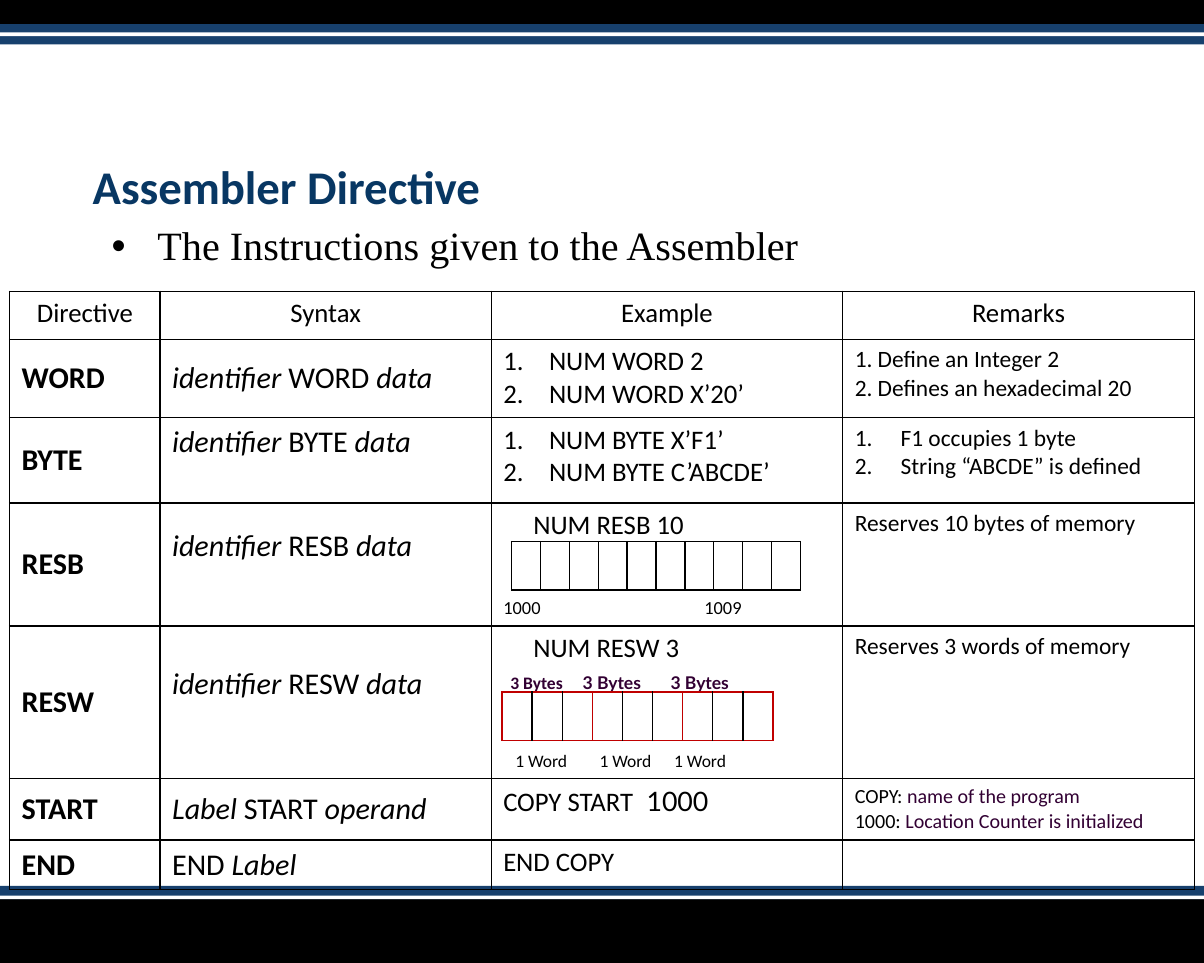
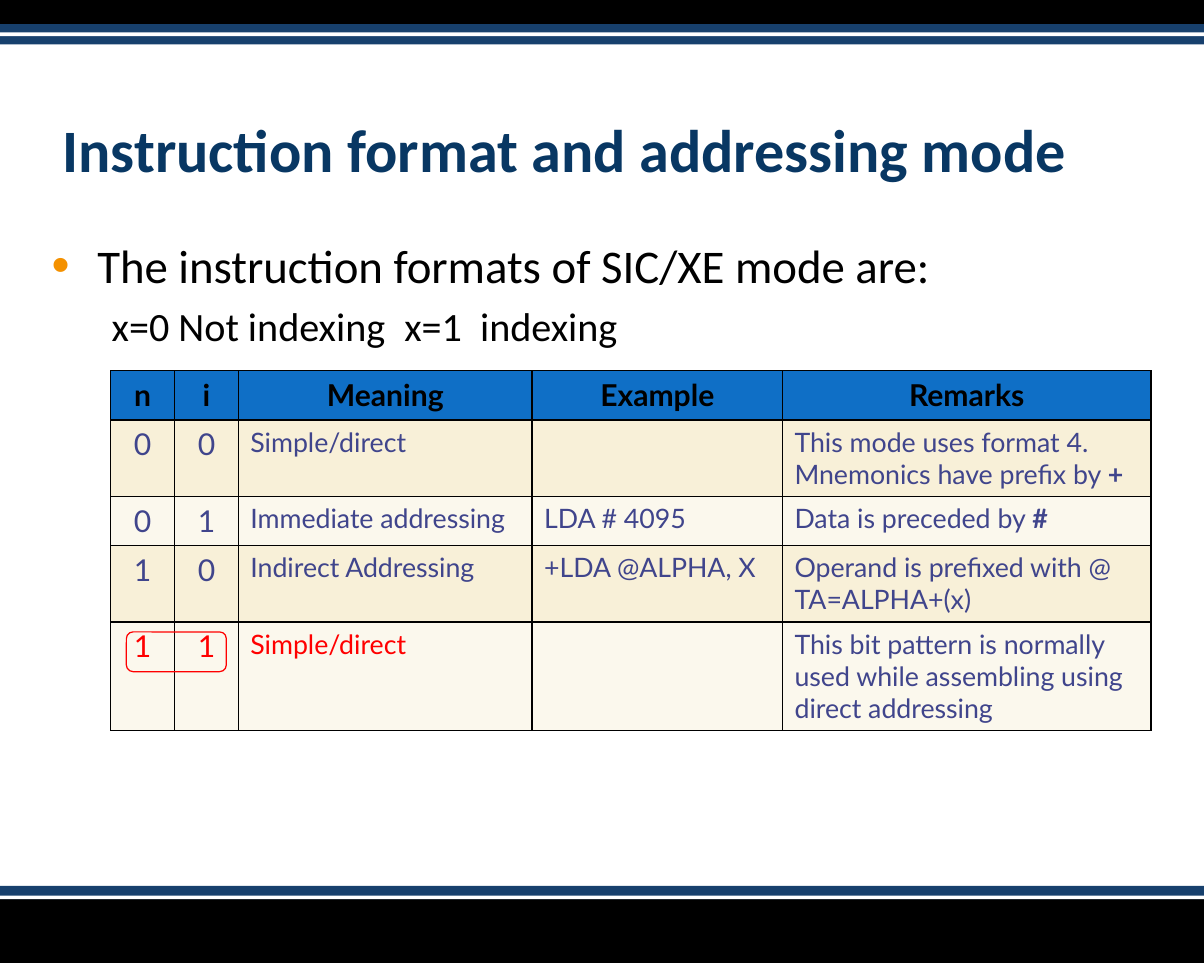
from dataclasses import dataclass
from pptx import Presentation
from pptx.dml.color import RGBColor
from pptx.enum.shapes import MSO_SHAPE
from pptx.enum.text import MSO_ANCHOR, MSO_AUTO_SIZE, PP_ALIGN
from pptx.oxml import parse_xml
from pptx.oxml.ns import nsdecls
from pptx.util import Inches, Pt


@dataclass(frozen=True)
class Theme:
    ink: str = "000000"
    band: str = "17406D"
    white: str = "FFFFFF"
    title: str = "083763"
    plum: str = "320033"
    wine: str = "C00000"
    red: str = "FF0000"
    dot: str = "F49100"
    head: str = "0F6FC6"
    sand: str = "F8F0D8"
    cream: str = "FBF8ED"
    slate: str = "40458C"
    main: str = "Calibri"
    alt: str = "Lato"
    serif: str = "Times New Roman"
    huge: float = 36
    big: float = 28
    lead: float = 24
    key: float = 18
    text: float = 16
    note: float = 14
    small: float = 12
    tag: float = 11
    mini: float = 10.5


look = Theme()


def mark(para, xml):
    para._p.get_or_add_pPr().append(parse_xml(xml.replace(" ", f" {nsdecls('a')} ", 1)))


def write(box, lines, size, font=look.main, tint=look.ink, align=PP_ALIGN.LEFT,
          bold=False, hang=0, bullet="", dot=look.ink, stops=()):
    for n, line in enumerate(lines):
        para = box.paragraphs[0] if n == 0 else box.add_paragraph()
        para.alignment = align
        if hang:
            props = para._p.get_or_add_pPr()
            props.set("marL", str(Inches(hang)))
            props.set("indent", str(-Inches(hang)))
            mark(para, f'<a:buClr ><a:srgbClr val="{dot}"/></a:buClr>')
            if bullet:
                mark(para, '<a:buSzPct val="110000"/>' if dot != look.ink else '<a:buSzPct val="100000"/>')
                mark(para, '<a:buFont typeface="Arial"/>')
                mark(para, f'<a:buChar char="{bullet}"/>')
            else:
                mark(para, '<a:buAutoNum type="arabicPeriod"/>')
        if n < len(stops):
            tabs = "".join(f'<a:tab pos="{Inches(stop)}" algn="l"/>' for stop in stops[n])
            mark(para, f"<a:tabLst >{tabs}</a:tabLst>")
        for part in [line] if isinstance(line, str) else line:
            words, style = (part, {}) if isinstance(part, str) else part
            run = para.add_run()
            run.text = words
            run.font.size = Pt(style.get("size", size))
            run.font.name = style.get("font", font)
            run.font.bold = style.get("bold", bold)
            run.font.italic = style.get("slant", False)
            run.font.color.rgb = RGBColor.from_string(style.get("tint", tint))
    return box.paragraphs


deck = Presentation()
deck.slide_width, deck.slide_height = Inches(10), Inches(8)
layout = deck.slide_layouts[5]
first, second = [deck.slides.add_slide(layout) for n in range(2)]

bands = [(7.47, 0.53, look.ink), (7.36, 0.11, look.band), (7.44, 0.03, look.white),
         (0, 0.2, look.ink), (0.2, 0.17, look.band), (0.27, 0.03, look.white)]
for n, (top, tall, tint) in enumerate(bands):
    band = first.shapes.add_shape(MSO_SHAPE.RECTANGLE, 0, Inches(top), Inches(10), Inches(tall))
    band.shadow.inherit = False
    band.fill.solid()
    band.fill.fore_color.rgb = RGBColor.from_string(tint)
    band.line.fill.background()
    layout.shapes.element.insert(2 + n, band.element)

heads = [(first, "Assembler Directive", look.big, (0.67, 0.58, 8.5, 1.25)),
         (second, "Instruction format and addressing mode", look.huge, (0.42, 0.67, 9.25, 0.92))]
for slide, words, size, place in heads:
    title = slide.shapes.title
    title.left, title.top, title.width, title.height = map(Inches, place)
    frame = title.text_frame
    frame.word_wrap = True
    frame.auto_size = MSO_AUTO_SIZE.NONE
    frame.vertical_anchor = MSO_ANCHOR.BOTTOM
    write(frame, [words], size, tint=look.title, bold=True)[0].line_spacing = 0.9

bodies = []
for slide, place in ((first, (0.83, 1.83, 8.5, 0.42)), (second, (0.33, 1.92, 9.5, 1.1))):
    frame = slide.shapes.add_textbox(*map(Inches, place)).text_frame
    frame.word_wrap = True
    bodies.append(frame)
write(bodies[0], ["The Instructions given to the Assembler"], look.lead, look.serif,
      hang=0.38, bullet="•")[0].line_spacing = 0.9
write(bodies[1], ["The instruction formats of SIC/XE mode are:"], look.big,
      hang=0.38, bullet="•", dot=look.dot)
modes = bodies[1].add_paragraph()
modes.space_before = Pt(5)
mark(modes, "<a:tabLst >" + "".join(
    f'<a:tab pos="{Inches(stop)}" algn="l"/>' for stop in (0.5, 2.93, 3.56)) + "</a:tabLst>")
modes.text = "\tx=0 Not indexing\tx=1\tindexing"
for run in modes.runs:
    run.font.size, run.font.name = Pt(look.lead), look.main
    run.font.color.rgb = RGBColor.from_string(look.ink)

fills = [look.head, look.sand, look.cream, look.sand, look.cream]
grids = [(first, 0.08, 2.42, [1.25, 2.75, 2.92, 2.92],
          [0.4, 0.65, 0.71, 1.02, 1.27, 0.51, 0.41], look.ink, []),
         (first, 4.25, 4.5, [0.24] * 10, [0.4], look.ink, []),
         (first, 4.17, 5.75, [0.25] * 9, [0.4], look.wine, []),
         (second, 0.92, 3.08, [0.53, 0.53, 2.44, 2.08, 3.06],
          [0.41, 0.63, 0.41, 0.63, 0.9], look.ink, fills)]
tables = []
for slide, left, top, wides, talls, edge, shades in grids:
    table = slide.shapes.add_table(len(talls), len(wides), Inches(left), Inches(top),
                                   Inches(sum(wides)), Inches(sum(talls))).table
    table.first_row = table.horz_banding = False
    tables.append(table)
    for col, wide in zip(table.columns, wides):
        col.width = Inches(wide)
    for r, tall in enumerate(talls):
        table.rows[r].height = Inches(tall)
        for c in range(len(wides)):
            cell = table.cell(r, c)
            sides = {"L": edge if c % 3 == 0 else look.ink,
                     "R": edge if c % 3 == 2 else look.ink, "T": edge, "B": edge}
            for side, tint in sides.items():
                cell._tc.get_or_add_tcPr().append(parse_xml(
                    f'<a:ln{side} {nsdecls("a")} w="{Pt(1)}"><a:solidFill>'
                    f'<a:srgbClr val="{tint}"/></a:solidFill></a:ln{side}>'))
            if shades:
                cell.fill.solid()
                cell.fill.fore_color.rgb = RGBColor.from_string(shades[r])
            else:
                cell.fill.background()

slant, strong = {"slant": True}, {"bold": True}
plum, lato = {"tint": look.plum}, {"font": look.alt}
label = {"size": look.mini, "bold": True, **plum}
wide = {**label, **lato}
lists = {"hang": 0.38}
rows = [
    ("WORD", ["identifier ", "WORD ", "data"], 0,
     ["NUM WORD 2", "NUM WORD X’20’"], lists,
     ["Define an Integer 2", "Defines an hexadecimal 20"], look.note, {"hang": 0.19}),
    ("BYTE", ["identifier ", "BYTE ", "data"], 0.3,
     ["NUM BYTE X’F1’", "NUM BYTE C’ABCDE’"], lists,
     ["F1 occupies 1 byte", "String “ABCDE” is defined"], look.note, lists),
    ("RESB", ["identifier ", "RESB ", "data"], 0.3,
     ["\tNUM RESB 10", [("1000\t1009", {"size": look.tag})]], {"stops": [(0.25,), (1.67,)]},
     ["Reserves 10 bytes of memory"], look.note, {}),
    ("RESW", ["identifier ", "RESW ", "data"], 0.3,
     ["\tNUM RESW 3", [("\t3 Bytes", label), ("\t3 Bytes\t3 Bytes", wide)],
      [("\t1 Word\t1 Word\t1 Word", {"size": look.mini})]],
     {"stops": [(0.25,), (0.06, 0.66, 1.39), (0.1, 0.8, 1.42)]},
     ["Reserves 3 words of memory"], look.note, {}),
    ("START", ["Label ", "START ", "operand"], 0,
     [["COPY START", ("\t1000", lato)]], {"stops": [(1.19,)]},
     [["COPY: ", ("name of the program", plum)],
      ["1000: ", ("Location Counter is initialized", plum)]], look.small, {}),
    ("END", ["END ", "Label"], 0, ["END COPY"], {}, [], look.small, {}),
]
main = tables[0]
for c, words in enumerate(["Directive", "Syntax", "Example", "Remarks"]):
    write(main.cell(0, c).text_frame, [words], look.text, align=PP_ALIGN.CENTER)
for r, (name, syntax, lift, sample, form, notes, size, shape) in enumerate(rows, 1):
    cells = [main.cell(r, c) for c in range(4)]
    for cell in cells[:2]:
        cell.vertical_anchor = MSO_ANCHOR.MIDDLE
    cells[1].margin_bottom = Inches(0.05 + lift)
    parts = [word if word.strip() == name else (word, slant) for word in syntax]
    write(cells[0].text_frame, [name], look.key, bold=True)
    write(cells[1].text_frame, [parts], look.key)
    write(cells[2].text_frame, sample, look.text, **form)
    write(cells[3].text_frame, notes, size, **shape)
main.cell(3, 2).text_frame.paragraphs[1].space_before = Pt(33)
for para, gap in zip(main.cell(4, 2).text_frame.paragraphs[1:], (4.5, 34)):
    para.space_before = Pt(gap)

facts = [
    ["n", "i", "Meaning", "Example", "Remarks"],
    ["0", "0", "Simple/direct", "",
     [["This mode uses format 4. Mnemonics have prefix by ", ("+", strong)]]],
    ["0", "1", "Immediate addressing", "LDA # 4095", [["Data is preceded by ", ("#", strong)]]],
    ["1", "0", "Indirect Addressing", "+LDA @ALPHA, X",
     ["Operand is prefixed with @", "TA=ALPHA+(x)"]],
    ["1", "1", "Simple/direct", "",
     ["This bit pattern is normally used while assembling using direct addressing"]],
]
for r, row in enumerate(facts):
    for c, item in enumerate(row):
        top, bit = r == 0, c < 2
        tint = look.ink if top else look.red if r == 4 and c < 4 else look.slate
        lines = [item] if isinstance(item, str) else item
        if item:
            write(tables[3].cell(r, c).text_frame, lines,
                  look.key if top or bit else look.text, look.alt, tint,
                  PP_ALIGN.CENTER if top or bit else PP_ALIGN.LEFT, bold=top)

ring = second.shapes.add_shape(MSO_SHAPE.ROUNDED_RECTANGLE, Inches(1.05), Inches(5.25),
                               Inches(0.83), Inches(0.33))
ring.shadow.inherit = False
ring.fill.background()
ring.line.color.rgb = RGBColor.from_string(look.red)
ring.line.width = Pt(0.75)

deck.save("out.pptx")
